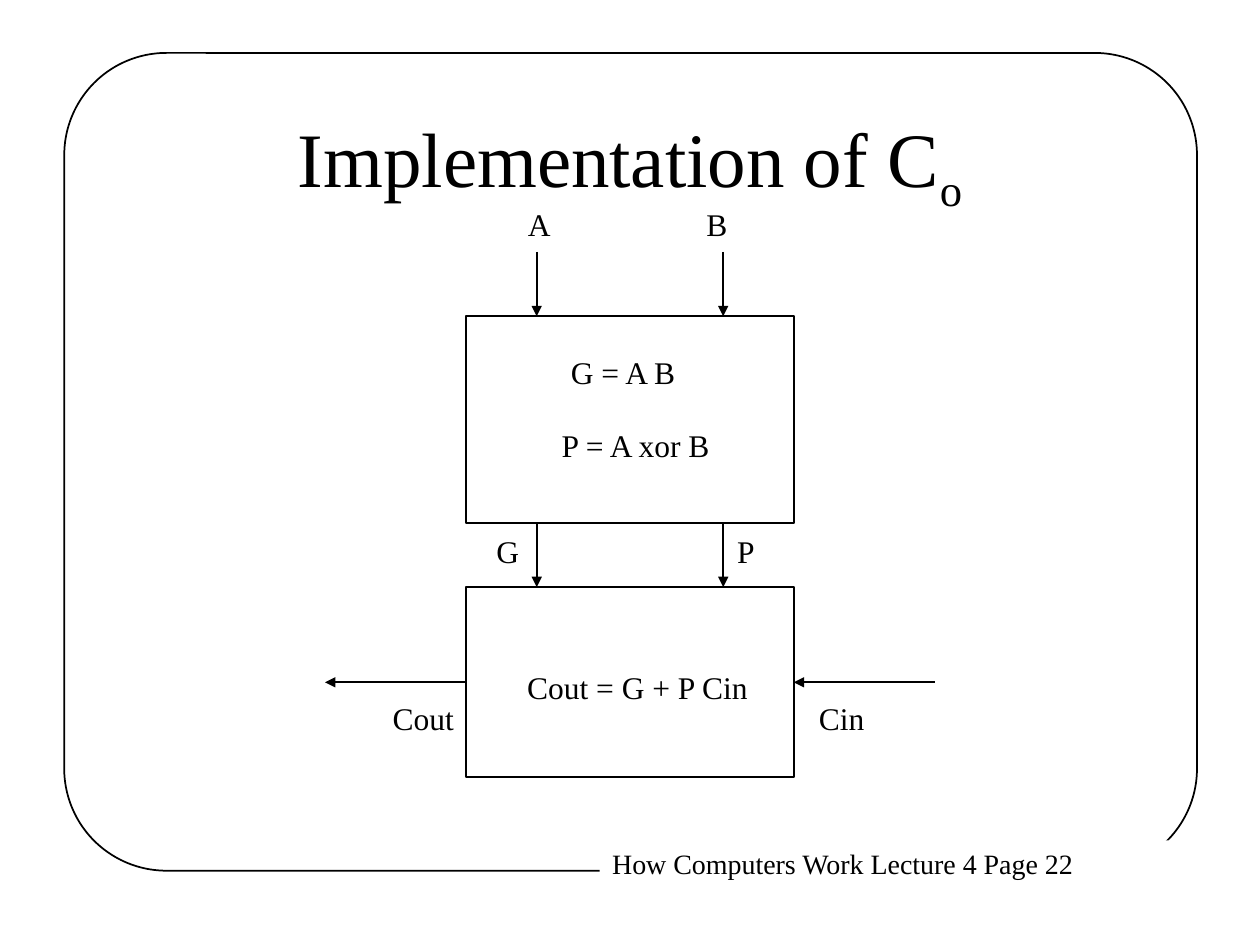
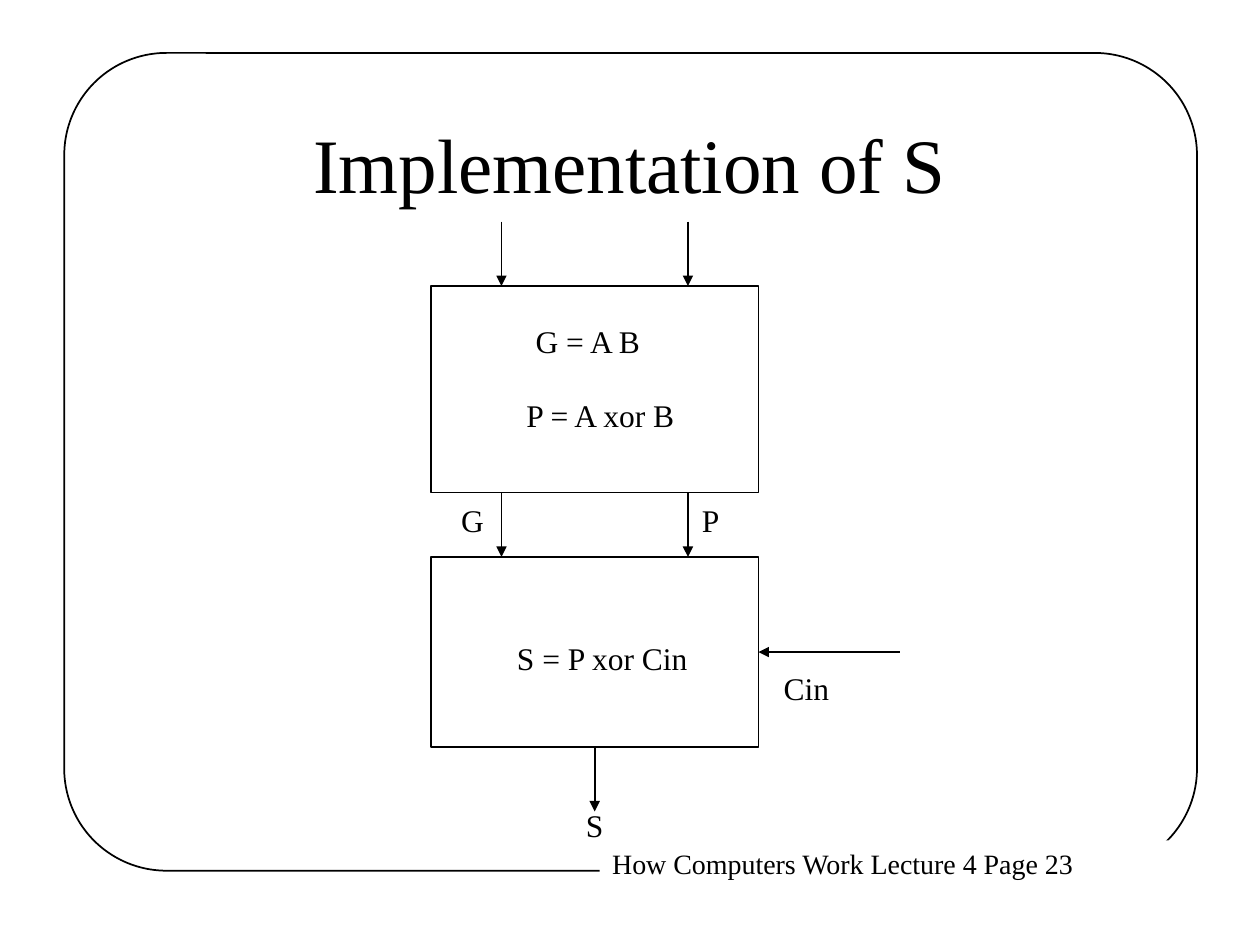
from lxml import etree
from pptx import Presentation
from pptx.dml.color import RGBColor
from pptx.enum.shapes import MSO_CONNECTOR, MSO_SHAPE
from pptx.enum.text import MSO_ANCHOR, MSO_AUTO_SIZE, PP_ALIGN
from pptx.oxml.ns import qn
from pptx.util import Inches, Pt

RECTANGLE, ROUNDED = MSO_SHAPE.RECTANGLE, MSO_SHAPE.ROUNDED_RECTANGLE
STRAIGHT = MSO_CONNECTOR.STRAIGHT
MIDDLE, TOP = MSO_ANCHOR.MIDDLE, MSO_ANCHOR.TOP
CENTER, LEFT = PP_ALIGN.CENTER, PP_ALIGN.LEFT
NO_AUTOFIT = MSO_AUTO_SIZE.NONE

FONT = "Times New Roman"
BLACK, WHITE = "000000", "FFFFFF"
TITLE_ONLY = 5

# Sizes of the adder diagram
GATE_WIDTH, UPPER_HEIGHT, LOWER_HEIGHT = 2.6, 1.64, 1.51
GAP = 0.51
LOWER_TOP = UPPER_HEIGHT + GAP
LOWER_BOTTOM = LOWER_TOP + LOWER_HEIGHT
LOWER_MIDDLE = LOWER_TOP + LOWER_HEIGHT / 2
WIRE_COLUMNS = (0.56, 2.04)
SIDE_WIRE = 1.12


def color(hex_value):
    return RGBColor.from_string(hex_value)


def format_text(frame, text, size, align=CENTER, anchor=MIDDLE, wrap=False):
    frame.text = text
    frame.word_wrap = wrap
    frame.auto_size = NO_AUTOFIT
    frame.vertical_anchor = anchor
    para = frame.paragraphs[0]
    para.alignment = align
    for span in para.runs:
        span.font.name = FONT
        span.font.size = Pt(size)
        span.font.color.rgb = color(BLACK)


def add_box(page, left, top, width, height, kind=RECTANGLE, fill=None, line=BLACK):
    box = page.shapes.add_shape(kind, Inches(left), Inches(top),
                                Inches(width), Inches(height))
    box.shadow.inherit = False
    if fill:
        box.fill.solid()
        box.fill.fore_color.rgb = color(fill)
    else:
        box.fill.background()
    if line:
        box.line.color.rgb = color(line)
        box.line.width = Pt(1)
    else:
        box.line.fill.background()
    return box


def add_label(page, text, left, top, width):
    box = page.shapes.add_textbox(Inches(left), Inches(top),
                                  Inches(width), Inches(0.4))
    format_text(box.text_frame, text, 18)


def add_arrow(page, x1, y1, x2, y2):
    arrow = page.shapes.add_connector(STRAIGHT, Inches(x1), Inches(y1),
                                      Inches(x2), Inches(y2))
    arrow.line.color.rgb = color(BLACK)
    arrow.line.width = Pt(1)
    properties = arrow._element.spPr
    head = etree.SubElement(properties.find(qn("a:ln")), qn("a:tailEnd"))
    head.set("type", "triangle")
    etree.SubElement(properties, qn("a:effectLst"))


def add_page(deck, title, number, subscript=None):
    page = deck.slides.add_slide(deck.slide_layouts[TITLE_ONLY])

    # Frame, with the footer covering part of its lower edge
    frame = add_box(page, 0.51, 0.42, 8.99, 6.49, ROUNDED)
    frame.adjustments[0] = 0.125
    footer = add_box(page, 4.76, 6.67, 4.59, 0.37, fill=WHITE, line=None)
    format_text(footer.text_frame, f"How Computers Work Lecture 4 Page {number}",
                16, LEFT, TOP)

    # Title
    heading = page.shapes.title
    heading.left, heading.top = Inches(0.75), Inches(0.67)
    heading.width, heading.height = Inches(8.5), Inches(1.25)
    format_text(heading.text_frame, title, 44, wrap=True)
    if subscript:
        span = heading.text_frame.paragraphs[0].add_run()
        span.text = subscript
        span.font.name = FONT
        span.font.size = Pt(44)
        span.font.color.rgb = color(BLACK)
        span._r.get_or_add_rPr().set("baseline", "-25000")
    return page


def add_adder(page, left, top, labels, arrows):
    """Draw both gates; labels and arrows are offsets from the upper gate's corner."""
    add_box(page, left, top, GATE_WIDTH, UPPER_HEIGHT)
    add_box(page, left, top + LOWER_TOP, GATE_WIDTH, LOWER_HEIGHT)

    # Wires into each gate, and the carry input
    wires = [(x, end - GAP, x, end) for end in (0, LOWER_TOP) for x in WIRE_COLUMNS]
    wires.append((GATE_WIDTH + SIDE_WIRE, LOWER_MIDDLE, GATE_WIDTH, LOWER_MIDDLE))
    for x1, y1, x2, y2 in wires + arrows:
        add_arrow(page, left + x1, top + y1, left + x2, top + y2)

    shared_labels = [
        ("G = A B", 0.72, 0.24, 1.05),
        ("P = A xor B", 0.64, 0.82, 1.41),
        ("G", 0.14, 1.66, 0.38),
        ("P", 2.05, 1.66, 0.34),
        ("Cin", 2.7, 2.99, 0.56),
    ]
    for text, x, y, width in shared_labels + labels:
        add_label(page, text, left + x, top + y, width)


def main():
    deck = Presentation()
    deck.slide_width, deck.slide_height = Inches(10), Inches(7.5)

    # Carry output
    page = add_page(deck, "Implementation of C", 22, subscript="o")
    add_adder(
        page, 3.7, 2.51,
        labels=[
            ("A", 0.39, -0.93, 0.38),
            ("B", 1.81, -0.93, 0.36),
            ("Cout", -0.68, 2.99, 0.68),
            ("Cout = G + P Cin", 0.38, 2.74, 1.96),
        ],
        arrows=[(0, LOWER_MIDDLE, -SIDE_WIRE, LOWER_MIDDLE)],
    )

    # Sum output
    page = add_page(deck, "Implementation of S", 23)
    center = GATE_WIDTH / 2
    add_adder(
        page, 3.42, 2.27,
        labels=[
            ("S", 1.13, 4.08, 0.34),
            ("S = P xor Cin", 0.58, 2.75, 1.56),
        ],
        arrows=[(center, LOWER_BOTTOM, center, LOWER_BOTTOM + GAP)],
    )

    deck.save("out.pptx")


if __name__ == "__main__":
    main()
